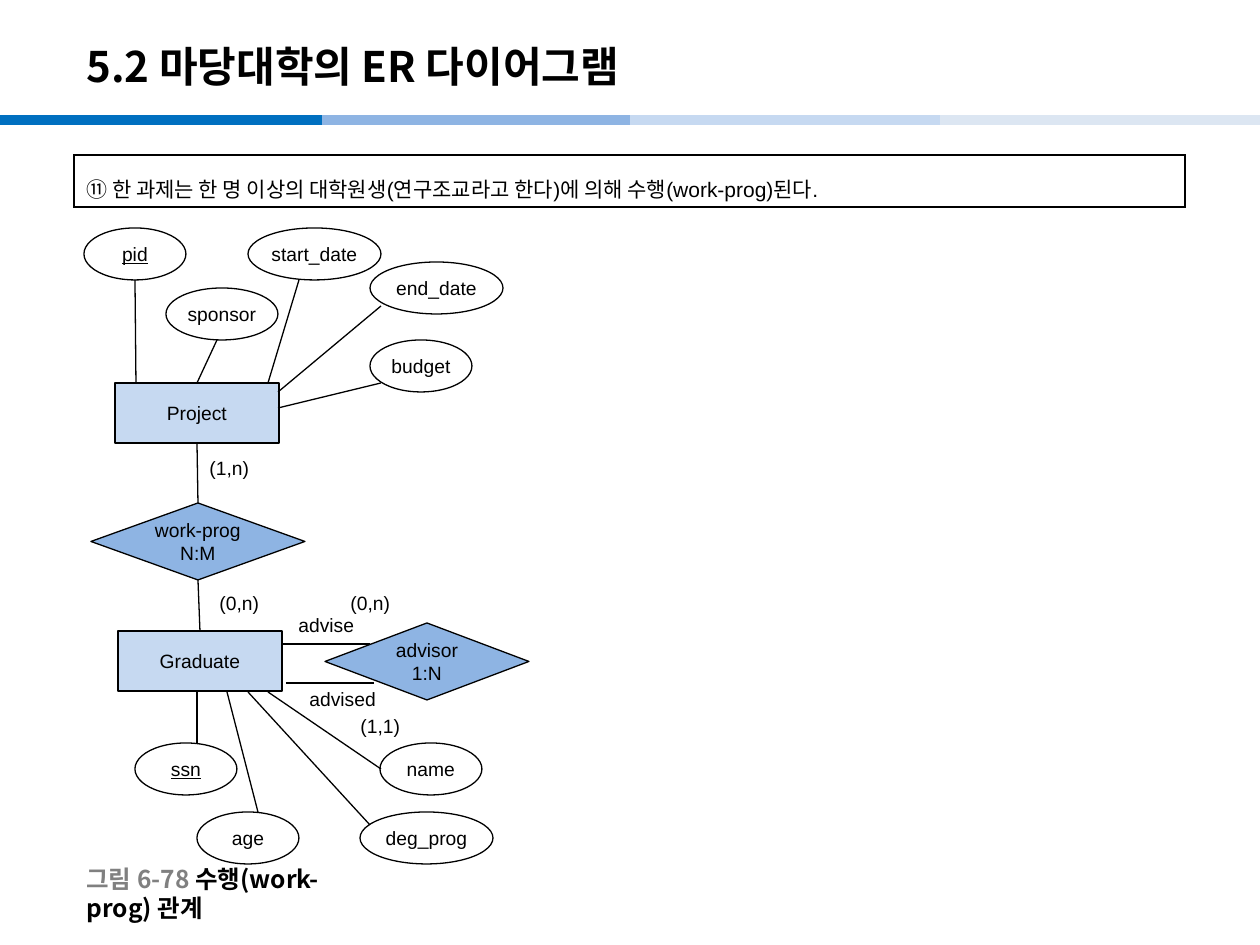
from lxml.etree import SubElement
from pptx import Presentation
from pptx.dml.color import RGBColor
from pptx.enum.shapes import MSO_CONNECTOR, MSO_SHAPE
from pptx.enum.text import MSO_ANCHOR, PP_ALIGN
from pptx.oxml.ns import qn
from pptx.util import Pt

RECT, OVAL, DIAMOND = MSO_SHAPE.RECTANGLE, MSO_SHAPE.OVAL, MSO_SHAPE.DIAMOND
LINE = MSO_CONNECTOR.STRAIGHT
TOP, MIDDLE = MSO_ANCHOR.TOP, MSO_ANCHOR.MIDDLE
LEFT, CENTER = PP_ALIGN.LEFT, PP_ALIGN.CENTER
SCALE = 914400 / 126
BLACK, WHITE, GREY = "000000", "FFFFFF", "808080"
PALE, BLUE = "C6D9F1", "8EB4E3"
SANS, HANGUL = "Arial", "Noto Sans CJK KR"
BODY = {"size": Pt(11), "name": SANS}
KEY = {**BODY, "underline": True}
NOTE = {"size": Pt(12), "name": SANS}
TITLE = {"size": Pt(24), "name": HANGUL, "bold": True}
CAPTION = {**TITLE, "size": Pt(14)}

BARS = [(0, 322, "0070C0"), (322, 645, BLUE), (630, 953, PALE), (940, 1262, "DCE6F2")]
# text, left, top, width, format
OVALS = [
    ("pid", 84, 228, 102, KEY),
    ("sponsor", 166, 288, 112, BODY),
    ("end_date", 370, 262, 133, BODY),
    ("start_date", 248, 228, 133, BODY),
    ("budget", 370, 340, 102, BODY),
    ("ssn", 135, 743, 102, KEY),
    ("age", 197, 812, 102, BODY),
    ("deg_prog", 360, 812, 133, BODY),
    ("name", 380, 743, 102, BODY),
]
LINKS = [
    (135, 280, 136, 383), (217, 340, 197, 383), (299, 280, 268, 383),
    (381, 306, 278, 392), (381, 383, 278, 408),
    (197, 692, 197, 743), (227, 692, 258, 812), (370, 825, 248, 692),
    (268, 692, 381, 769), (282, 644, 370, 644), (286, 683, 374, 683),
]
# text, left, top, width
LABELS = [
    ("(1,n)", 197, 450, 72), ("(0,n)", 207, 585, 72), ("(0,n)", 338, 585, 72),
    ("(1,1)", 348, 708, 72), ("advise", 286, 607, 102), ("advised", 297, 681, 102),
]


def px(*sizes):
    return [round(size * SCALE) for size in sizes]


def color(code):
    return RGBColor.from_string(code)


def add_run(par, text, form, ink=BLACK):
    run = par.add_run()
    run.text = text
    for key, value in form.items():
        setattr(run.font, key, value)
    run.font.color.rgb = color(ink)
    if form["name"] == HANGUL:
        SubElement(run.font._element, qn("a:ea"), typeface=HANGUL)


def add_node(slide, kind, text, box, fill, form=BODY):
    node = slide.shapes.add_shape(kind, *px(*box))
    node.shadow.inherit = False
    node.fill.solid()
    node.fill.fore_color.rgb = color(fill)
    node.line.color.rgb = color(BLACK)
    node.line.width = Pt(0.75)
    frame = node.text_frame
    frame.word_wrap = False
    frame.vertical_anchor = MIDDLE
    for i, row in enumerate(text.split("\n")):
        par = frame.add_paragraph() if i else frame.paragraphs[0]
        par.alignment = CENTER
        add_run(par, row, form)
    return node


def add_line(slide, ends, ink=BLACK, width=0.75):
    line = slide.shapes.add_connector(LINE, *px(*ends))
    line.line.color.rgb = color(ink)
    line.line.width = Pt(width)
    SubElement(line._element.spPr, qn("a:effectLst"))
    return line


def join(slide, upper, lower):
    """Link the bottom of one node to the top of the next."""
    line = add_line(slide, (0, 0, 0, 0))
    line.begin_connect(upper, 2)
    line.end_connect(lower, 0)


def add_text(slide, box, parts, form, anchor=TOP, wrap=True):
    frame = slide.shapes.add_textbox(*px(*box)).text_frame
    frame.word_wrap = wrap
    frame.vertical_anchor = anchor
    par = frame.paragraphs[0]
    par.alignment = LEFT
    for text, ink in parts:
        add_run(par, text, form, ink)


def add_note(slide, box, text):
    """Add a bordered table of one cell."""
    table = slide.shapes.add_table(1, 1, *px(*box)).table
    cell = table.cell(0, 0)
    cell.vertical_anchor = MIDDLE
    props = cell._tc.get_or_add_tcPr()
    for side in ("lnL", "lnR", "lnT", "lnB"):
        edge = SubElement(props, qn(f"a:{side}"), w=str(Pt(1)))
        SubElement(SubElement(edge, qn("a:solidFill")), qn("a:srgbClr"), val=BLACK)
    cell.fill.solid()
    cell.fill.fore_color.rgb = color(WHITE)
    par = cell.text_frame.paragraphs[0]
    par.line_spacing = 1.4
    add_run(par, text, NOTE)


def main():
    deck = Presentation()
    deck.slide_width, deck.slide_height = px(1260, 945)
    slide = deck.slides.add_slide(deck.slide_layouts[6])

    for left, right, ink in BARS:
        add_line(slide, (left, 120, right, 120), ink, 6)
    add_text(slide, (74, 28, 1042, 76), [("5.2 마당대학의 ER 다이어그램", BLACK)],
             TITLE, MIDDLE)
    add_note(slide, (74, 155, 1111, 52),
             "⑪ 한 과제는 한 명 이상의 대학원생(연구조교라고 한다)에 의해 수행(work-prog)된다.")

    project = add_node(slide, RECT, "Project", (115, 383, 164, 60), PALE)
    student = add_node(slide, RECT, "Graduate", (118, 631, 164, 60), PALE)
    for text, left, top, width, form in OVALS:
        add_node(slide, OVAL, text, (left, top, width, 52), WHITE, form)
    work = add_node(slide, DIAMOND, "work-prog\nN:M", (91, 503, 214, 77), BLUE)
    add_node(slide, DIAMOND, "advisor\n1:N", (325, 623, 204, 77), BLUE)

    for ends in LINKS:
        add_line(slide, ends)
    join(slide, project, work)
    join(slide, work, student)
    for text, left, top, width in LABELS:
        add_text(slide, (left, top, width, 34), [(text, BLACK)], BODY)
    add_text(slide, (74, 874, 258, 39),
             [("그림 6-78 ", GREY), ("수행(work-prog) 관계", BLACK)],
             CAPTION, MIDDLE, False)
    deck.save("out.pptx")


if __name__ == "__main__":
    main()
